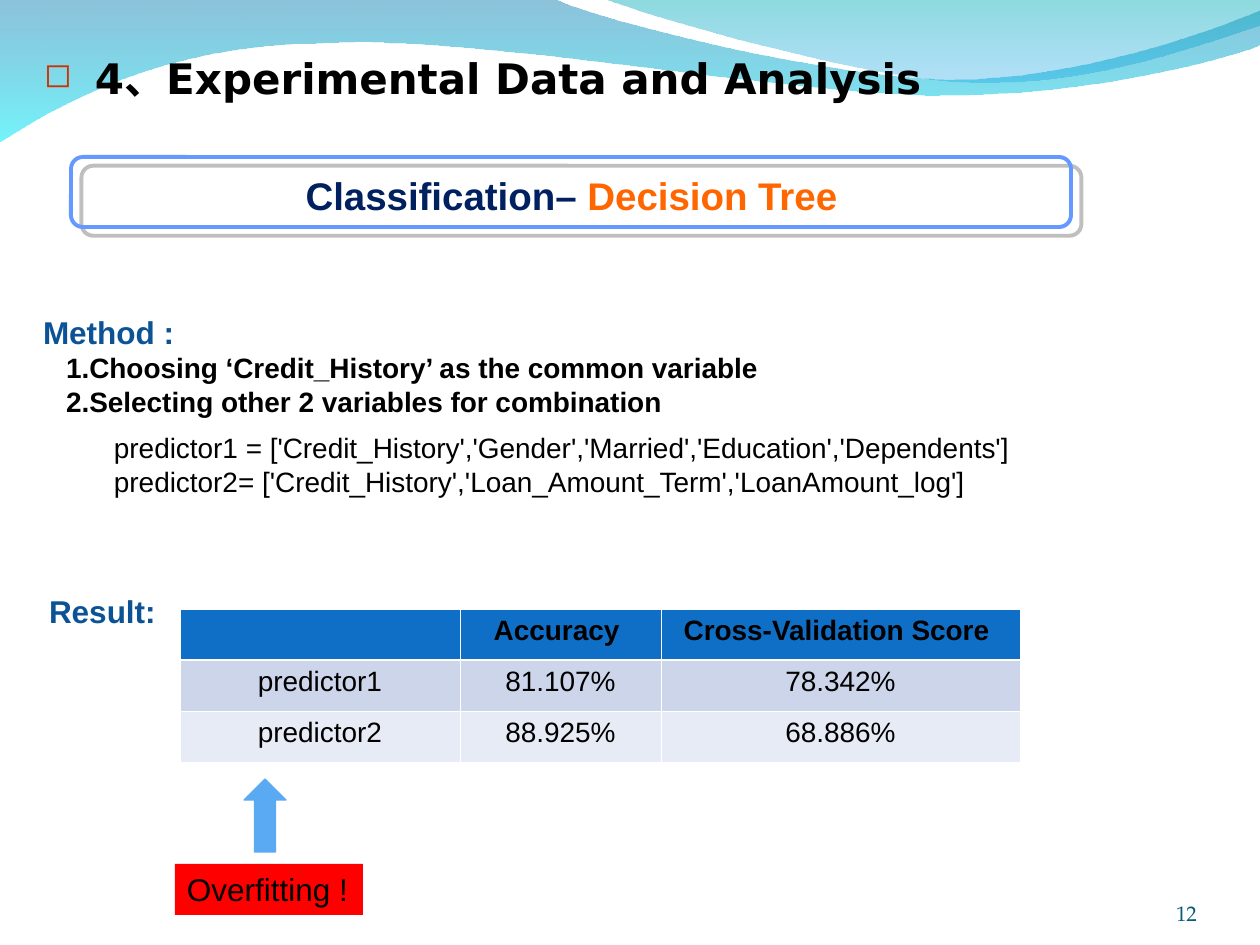
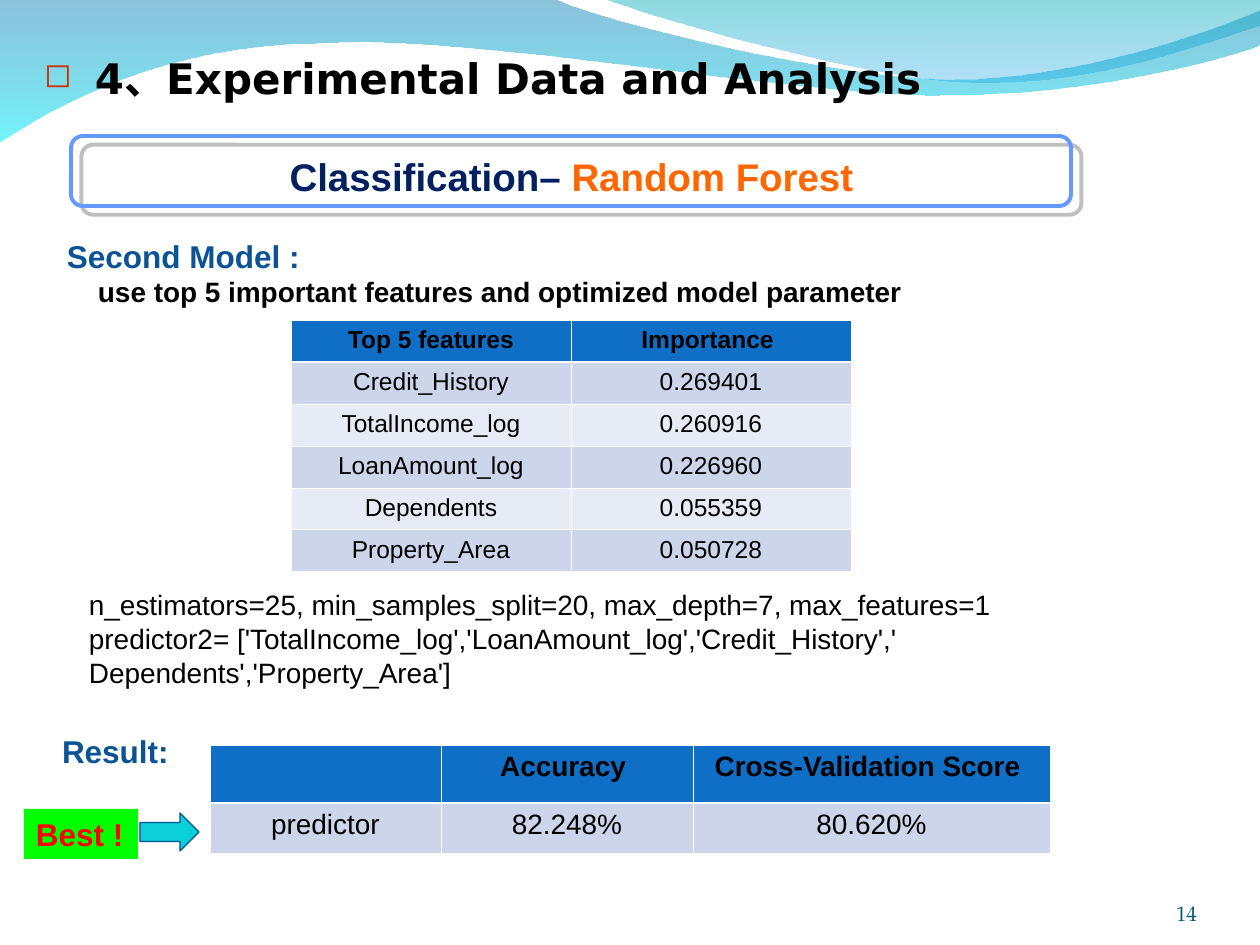
from dataclasses import dataclass

from lxml import etree
from pptx import Presentation
from pptx.dml.color import RGBColor
from pptx.enum.shapes import MSO_SHAPE
from pptx.enum.text import MSO_ANCHOR, MSO_AUTO_SIZE, PP_ALIGN
from pptx.oxml.ns import qn
from pptx.util import Emu, Pt

ROUND_RECT = MSO_SHAPE.ROUNDED_RECTANGLE
UP_ARROW = MSO_SHAPE.UP_ARROW
RIGHT_ARROW = MSO_SHAPE.RIGHT_ARROW
LEFT, CENTER, RIGHT = PP_ALIGN.LEFT, PP_ALIGN.CENTER, PP_ALIGN.RIGHT
TOP, BOTTOM = MSO_ANCHOR.TOP, MSO_ANCHOR.BOTTOM
FIT_SHAPE, NO_FIT = MSO_AUTO_SIZE.SHAPE_TO_FIT_TEXT, MSO_AUTO_SIZE.NONE

SCALE = 914400 / 126
TITLE_ONLY = 5

BODY_FONT = "Arial"
TITLE_FONT = "DejaVu Sans"
NUMBER_FONT = "TeX Gyre Pagella"

BLACK = "000000"
WHITE = "FFFFFF"
HEADING = "0B5395"
NAVY = "002060"
ORANGE = "FF6600"
BULLET = "CC3300"
NUMBER = "045C75"
FRAME = "6699FF"
HEADER_FILL = "0F6FC6"
BAND_FILLS = ("CCD5EA", "E7EBF5")

TITLE = "4、Experimental Data and Analysis"

Point = tuple[int, int]


@dataclass(frozen=True)
class Box:
    x: int
    y: int
    w: int
    h: int


@dataclass(frozen=True)
class Line:
    text: str
    size: int = 16
    color: str = BLACK
    bold: bool = False
    indent: int = 0
    spacing: float = 1.0


@dataclass(frozen=True)
class Label:
    box: Box
    lines: tuple[Line, ...]
    wrap: bool = False
    fill: str = ""


@dataclass(frozen=True)
class Grid:
    x: int
    y: int
    cols: tuple[int, ...]
    rows: tuple[int, ...]
    cells: tuple[tuple[str, ...], ...]
    size: int = 16


@dataclass(frozen=True)
class Arrow:
    box: Box
    kind: MSO_SHAPE
    fill: str
    line: str


@dataclass(frozen=True)
class Wave:
    start: Point
    steps: tuple[tuple[Point, ...], ...]
    stops: tuple[tuple[str, int], ...]


@dataclass(frozen=True)
class Page:
    number: str
    model: str
    frame_y: int
    heading_y: int
    labels: tuple[Label, ...]
    grids: tuple[Grid, ...]
    arrow: Arrow


WAVES = (
    Wave((0, -1), (
        ((554, -1),),
        ((600, 21), (837, 79), (955, 79)),
        ((1075, 79), (1207, 33), (1260, 11)),
        ((1261, 45),),
        ((1239, 55), (1096, 96), (940, 95)),
        ((784, 95), (481, 35), (324, 43)),
        ((162, 44), (58, 105), (-1, 142)),
    ), (("0079AF", 45), ("00EBF8", 55))),
    Wave((604, -1), (
        ((641, 14), (859, 78), (969, 82)),
        ((1097, 87), (1211, 40), (1260, 26)),
        ((1260, 0),),
    ), (("00ADB6", 45), ("009BE5", 30))),
)

SCORES = ("", "Accuracy ", "Cross-Validation Score ")

PAGES = (
    Page("12", "Decision Tree", 157, 166, (
        Label(Box(102, 425, 969, 78), (
            Line("predictor1 = ['Credit_History','Gender','Married','Education','Dependents']"),
            Line("predictor2= ['Credit_History','Loan_Amount_Term','LoanAmount_log']"),
        ), wrap=True),
        Label(Box(37, 586, 135, 50), (Line("Result:", 18, HEADING, True),)),
        Label(Box(31, 288, 1126, 137), (
            Line("Method :", 18, HEADING, True, spacing=1.5),
            Line("1.Choosing ‘Credit_History’ as the common variable", bold=True, indent=23),
            Line("2.Selecting other 2 variables for combination", bold=True, indent=23),
        ), wrap=True),
        Label(Box(175, 864, 188, 51), (Line("Overfitting !", 18),), fill="FF0000"),
    ), (
        Grid(180, 609, (280, 201, 359), (51, 51, 51), (
            SCORES,
            ("predictor1", "81.107%", "78.342%"),
            ("predictor2", "88.925%", "68.886%"),
        )),
    ), Arrow(Box(244, 779, 42, 73), UP_ARROW, "59AAF2", "59AAF2")),
    Page("14", "Random Forest", 136, 147, (
        Label(Box(50, 726, 135, 50), (Line("Result:", 18, HEADING, True),)),
        Label(Box(55, 231, 867, 84), (
            Line("Second Model :", 18, HEADING, True),
            Line("use top 5 important features and optimized model parameter",
                 bold=True, indent=31),
        )),
        Label(Box(77, 582, 935, 113), (
            Line("n_estimators=25, min_samples_split=20, max_depth=7, max_features=1"),
            Line("predictor2= ['TotalIncome_log','LoanAmount_log','Credit_History','"),
            Line("Dependents','Property_Area']"),
        )),
        Label(Box(24, 809, 114, 50), (Line("Best !", 18, "FF0000", True),), fill="00FF00"),
    ), (
        Grid(210, 745, (231, 252, 357), (58, 50), (
            SCORES,
            ("predictor", "82.248%", "80.620%"),
        )),
        Grid(291, 320, (280, 280), (42,) * 6, (
            ("Top 5 features", "Importance "),
            ("Credit_History", "0.269401"),
            ("TotalIncome_log", "0.260916"),
            ("LoanAmount_log", "0.226960"),
            ("Dependents", "0.055359"),
            ("Property_Area", "0.050728"),
        ), 14),
    ), Arrow(Box(140, 813, 59, 38), RIGHT_ARROW, "0BD0D9", "065093")),
)


def px(n: int) -> Emu:
    return Emu(round(n * SCALE))


def rgb(color: str) -> RGBColor:
    return RGBColor.from_string(color)


def place(box: Box) -> tuple[Emu, ...]:
    return px(box.x), px(box.y), px(box.w), px(box.h)


def add_tag(parent, tag: str, **attrs):
    return etree.SubElement(parent, qn(tag), attrs)


def set_font(font, size: int, color: str, bold: bool = False, name: str = BODY_FONT) -> None:
    font.name, font.size, font.bold = name, Pt(size), bold
    font.color.rgb = rgb(color)


def set_frame(tf, anchor=TOP, wrap: bool = True, side: int = 12, edge: int = 6) -> None:
    tf.word_wrap = wrap
    tf.auto_size = NO_FIT if wrap else FIT_SHAPE
    tf.vertical_anchor = anchor
    tf.margin_left = tf.margin_right = px(side)
    tf.margin_top = tf.margin_bottom = px(edge)


def bend_sides(sp, wave: Wave) -> None:
    sides = list(sp.element.iter(qn("a:lnTo")))
    for side, points in zip(sides, wave.steps):
        if len(points) == 1:
            continue
        side.tag = qn("a:cubicBezTo")
        for i, (x, y) in enumerate(points[:-1]):
            pt = etree.Element(qn("a:pt"), x=str(px(x) - sp.left), y=str(px(y) - sp.top))
            side.insert(i, pt)


def add_wave(slide, layout, wave: Wave) -> None:
    builder = slide.shapes.build_freeform(*map(px, wave.start))
    corners = [(px(x), px(y)) for *_, (x, y) in wave.steps]
    builder.add_line_segments(corners, close=True)
    sp = builder.convert_to_shape()
    bend_sides(sp, wave)
    sp.shadow.inherit = False
    sp.line.fill.background()
    sp.fill.gradient()
    sp.fill.gradient_angle = 270
    for stop, (color, _) in zip(sp.fill.gradient_stops, wave.stops):
        stop.color.rgb = rgb(color)
    for clr, (_, alpha) in zip(sp.element.spPr.iter(qn("a:srgbClr")), wave.stops):
        add_tag(clr, "a:alpha", val=str(alpha * 1000))
    layout.shapes.element.append(sp.element)


def set_title(slide) -> None:
    title = slide.shapes.title
    title.left, title.top, title.width, title.height = place(Box(32, 46, 1207, 63))
    tf = title.text_frame
    set_frame(tf)
    tf.text = TITLE
    p = tf.paragraphs[0]
    p.alignment = LEFT
    pPr = p._p.get_or_add_pPr()
    pPr.set("marL", str(px(51)))
    pPr.set("indent", str(px(-51)))
    add_tag(add_tag(pPr, "a:buClr"), "a:srgbClr", val=BULLET)
    add_tag(pPr, "a:buSzPct", val="80000")
    add_tag(pPr, "a:buChar", char="◻")
    set_font(p.font, 24, BLACK, True, TITLE_FONT)


def add_number(slide, number: str) -> None:
    tf = slide.shapes.add_textbox(*place(Box(1092, 876, 105, 50))).text_frame
    set_frame(tf, BOTTOM, side=0, edge=0)
    p = tf.paragraphs[0]
    p.text, p.alignment = number, RIGHT
    set_font(p.font, 12, NUMBER, name=NUMBER_FONT)


def add_banner(slide, page: Page) -> None:
    sp = slide.shapes.add_shape(ROUND_RECT, *place(Box(71, page.frame_y, 1000, 70)))
    sp.adjustments[0] = 0.17
    sp.fill.background()
    sp.line.color.rgb, sp.line.width = rgb(FRAME), Pt(2.25)
    sp.shadow.inherit = False
    shadow = add_tag(sp.element.spPr.find(qn("a:effectLst")), "a:outerShdw",
                     blurRad="0", dist=str(Pt(7.8)), dir="2400000", algn="ctr",
                     rotWithShape="0")
    add_tag(add_tag(shadow, "a:srgbClr", val="808080"), "a:alpha", val="50000")
    tf = slide.shapes.add_textbox(*place(Box(72, page.heading_y, 999, 59))).text_frame
    set_frame(tf)
    p = tf.paragraphs[0]
    p.alignment = CENTER
    set_font(p.font, 22, NAVY, True)
    for text, color in (("Classification– ", NAVY), (page.model, ORANGE)):
        r = p.add_run()
        r.text = text
        r.font.color.rgb = rgb(color)


def add_label(slide, label: Label) -> None:
    sp = slide.shapes.add_textbox(*place(label.box))
    if label.fill:
        sp.fill.solid()
        sp.fill.fore_color.rgb = rgb(label.fill)
    tf = sp.text_frame
    set_frame(tf, wrap=label.wrap)
    for i, line in enumerate(label.lines):
        p = tf.add_paragraph() if i else tf.paragraphs[0]
        p.text, p.line_spacing = line.text, line.spacing
        p._p.get_or_add_pPr().set("marL", str(px(line.indent)))
        set_font(p.font, line.size, line.color, line.bold)


def set_borders(cell, row: int) -> None:
    tcPr = cell._tc.get_or_add_tcPr()
    thick = {0: "a:lnB", 1: "a:lnT"}.get(row)
    for tag in ("a:lnL", "a:lnR", "a:lnT", "a:lnB"):
        ln = add_tag(tcPr, tag, w=str(Pt(1.47 if tag == thick else 0.45)))
        add_tag(add_tag(ln, "a:solidFill"), "a:srgbClr", val=WHITE)


def add_grid(slide, grid: Grid) -> None:
    box = Box(grid.x, grid.y, sum(grid.cols), sum(grid.rows))
    table = slide.shapes.add_table(len(grid.rows), len(grid.cols), *place(box)).table
    for col, width in zip(table.columns, grid.cols):
        col.width = px(width)
    for i, (row, height) in enumerate(zip(table.rows, grid.rows)):
        row.height = px(height)
        for cell, text in zip(row.cells, grid.cells[i]):
            set_borders(cell, i)
            cell.fill.solid()
            cell.fill.fore_color.rgb = rgb(BAND_FILLS[(i - 1) % 2] if i else HEADER_FILL)
            p = cell.text_frame.paragraphs[0]
            p.text, p.alignment = text, CENTER
            set_font(p.font, grid.size, BLACK, i == 0)


def add_arrow(slide, arrow: Arrow) -> None:
    sp = slide.shapes.add_shape(arrow.kind, *place(arrow.box))
    sp.shadow.inherit = False
    sp.fill.solid()
    sp.fill.fore_color.rgb = rgb(arrow.fill)
    sp.line.color.rgb, sp.line.width = rgb(arrow.line), Pt(0.75)


def main() -> None:
    prs = Presentation()
    prs.slide_width, prs.slide_height = px(1260), px(945)
    layout = prs.slide_layouts[TITLE_ONLY]
    slides = [prs.slides.add_slide(layout) for _ in PAGES]
    for wave in WAVES:
        add_wave(slides[0], layout, wave)
    for slide, page in zip(slides, PAGES):
        set_title(slide)
        add_number(slide, page.number)
        add_banner(slide, page)
        for grid in page.grids:
            add_grid(slide, grid)
        for label in page.labels:
            add_label(slide, label)
        add_arrow(slide, page.arrow)
    prs.save("out.pptx")


if __name__ == "__main__":
    main()
